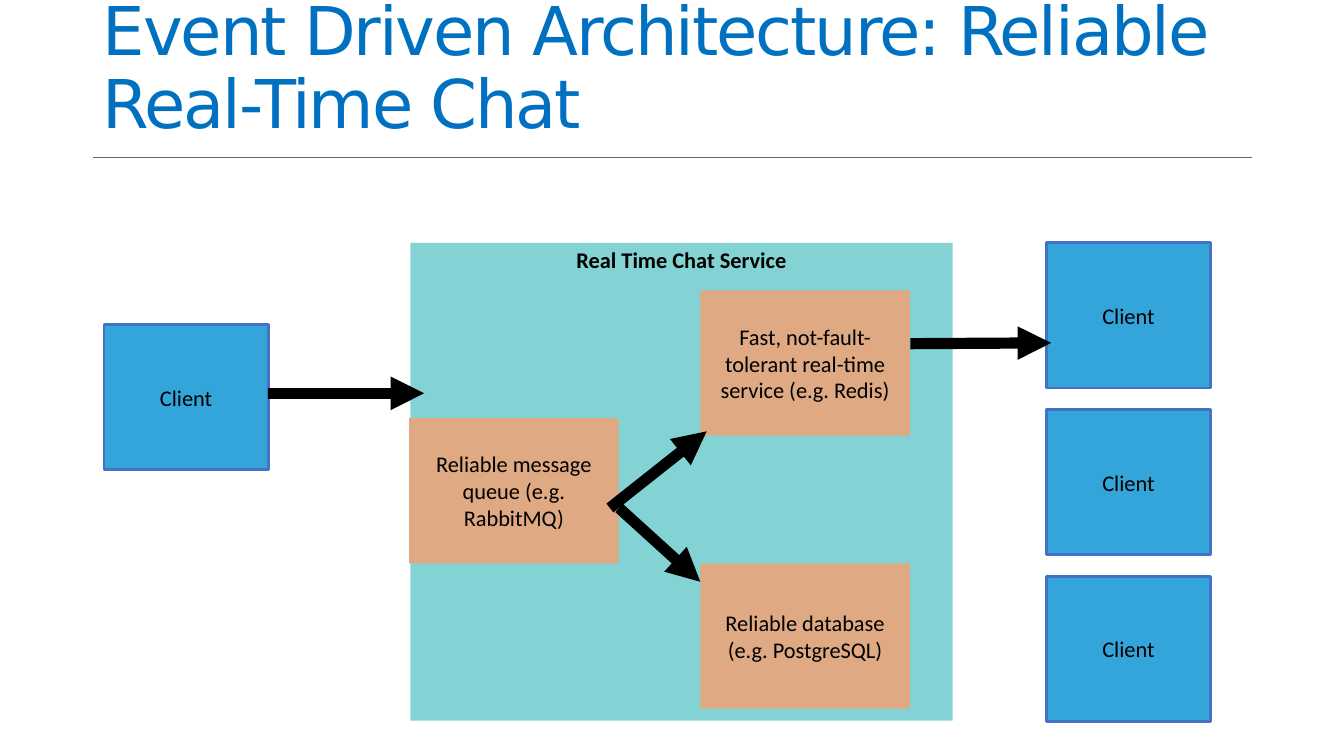
import lxml.etree
import pptx
import pptx.dml.color
import pptx.enum.shapes
import pptx.enum.text
import pptx.oxml.ns
import pptx.util

Cm = pptx.util.Cm
Pt = pptx.util.Pt
ANCHOR = pptx.enum.text.MSO_ANCHOR
ALIGN = pptx.enum.text.PP_ALIGN
qn = pptx.oxml.ns.qn

TITLE = "Event Driven Architecture: Reliable Real-Time Chat"
SERVICE = "Real Time Chat Service"
CLIENT = "Client"

# Lengths in centimetres
SERVICE_BOX = (10.34, 6.12, 13.67, 12.04)
CLIENT_SIZE = (4.14, 3.66)
SENDER = (2.62, 8.18)
RECEIVERS_LEFT, RECEIVERS_TOP, RECEIVERS_PITCH, RECEIVERS_COUNT = 26.37, 6.12, 4.2, 3
PART_SIZE = (5.28, 3.66)
PARTS = [
    ("Reliable message queue (e.g. RabbitMQ)", 10.31, 10.54),
    ("Fast, not-fault-tolerant real-time service (e.g. Redis)", 17.65, 7.32),
    ("Reliable database (e.g. PostgreSQL)", 17.65, 14.2),
]
ARROWS = [
    (6.76, 9.91, 10.69, 9.91),
    (22.94, 8.66, 26.49, 8.64),
    (15.6, 12.8, 17.65, 14.66),
    (15.37, 12.8, 17.81, 10.87),
]
RULE = (2.34, 3.96, 31.55, 3.96)

BLACK, RULE_GREY, TITLE_BLUE = "000000", "666666", "0070C0"
CLIENT_FILL, CLIENT_LINE = "34A5DA", "4472C4"
SERVICE_FILL, PART_FILL = "83D3D4", "DEA983"


def color(hex_value):
    return pptx.dml.color.RGBColor.from_string(hex_value)


def add_box(slide, text, box, fill, line=None, bold=None, anchor=ANCHOR.MIDDLE):
    shape = slide.shapes.add_shape(
        pptx.enum.shapes.MSO_SHAPE.RECTANGLE, *map(Cm, box))
    shape.shadow.inherit = False
    shape.fill.solid()
    shape.fill.fore_color.rgb = color(fill)
    if line:
        shape.line.color.rgb = color(line)
        shape.line.width = Pt(2)
    else:
        shape.line.fill.background()
    frame = shape.text_frame
    frame.word_wrap = True
    frame.vertical_anchor = anchor
    frame.margin_left = frame.margin_right = Cm(0.08)
    frame.margin_top = frame.margin_bottom = Cm(0.08)
    paragraph = frame.paragraphs[0]
    paragraph.alignment = ALIGN.CENTER
    run = paragraph.add_run()
    run.text = text
    run.font.name = "Calibri"
    run.font.size = Pt(16)
    run.font.bold = bold
    run.font.color.rgb = color(BLACK)


def add_line(slide, ends, line, width, arrow=False):
    connector = slide.shapes.add_connector(
        pptx.enum.shapes.MSO_CONNECTOR.STRAIGHT, *map(Cm, ends))
    connector.line.color.rgb = color(line)
    connector.line.width = Pt(width)
    properties = connector._element.spPr
    if arrow:
        outline = properties.find(qn("a:ln"))
        lxml.etree.SubElement(outline, qn("a:tailEnd"), type="triangle")
    lxml.etree.SubElement(properties, qn("a:effectLst"))


def add_title(slide):
    title = slide.shapes.title
    title.left, title.top, title.width, title.height = map(
        Cm, (2.34, 0.05, 29.21, 3.68))
    frame = title.text_frame
    frame.word_wrap = True
    frame.auto_size = pptx.enum.text.MSO_AUTO_SIZE.NONE
    frame.vertical_anchor = ANCHOR.BOTTOM
    paragraph = frame.paragraphs[0]
    paragraph.alignment = ALIGN.LEFT
    paragraph.line_spacing = 0.9
    run = paragraph.add_run()
    run.text = TITLE
    run.font.name = "DejaVu Sans"
    run.font.size = Pt(48)
    run.font.color.rgb = color(TITLE_BLUE)
    run._r.get_or_add_rPr().set("spc", "-150")


def main():
    presentation = pptx.Presentation()
    presentation.slide_width = Cm(33.87)
    presentation.slide_height = Cm(19.05)
    slide = presentation.slides.add_slide(presentation.slide_layouts[5])

    add_title(slide)
    add_line(slide, RULE, RULE_GREY, 0.5)
    add_box(slide, SERVICE, SERVICE_BOX, SERVICE_FILL, bold=True, anchor=ANCHOR.TOP)

    receivers = [(RECEIVERS_LEFT, RECEIVERS_TOP + row * RECEIVERS_PITCH)
                 for row in range(RECEIVERS_COUNT)]
    for corner in [SENDER, *receivers]:
        add_box(slide, CLIENT, corner + CLIENT_SIZE, CLIENT_FILL, CLIENT_LINE)
    for text, left, top in PARTS:
        add_box(slide, text, (left, top) + PART_SIZE, PART_FILL)
    for ends in ARROWS:
        add_line(slide, ends, BLACK, 8, arrow=True)

    presentation.save("out.pptx")


if __name__ == "__main__":
    main()
